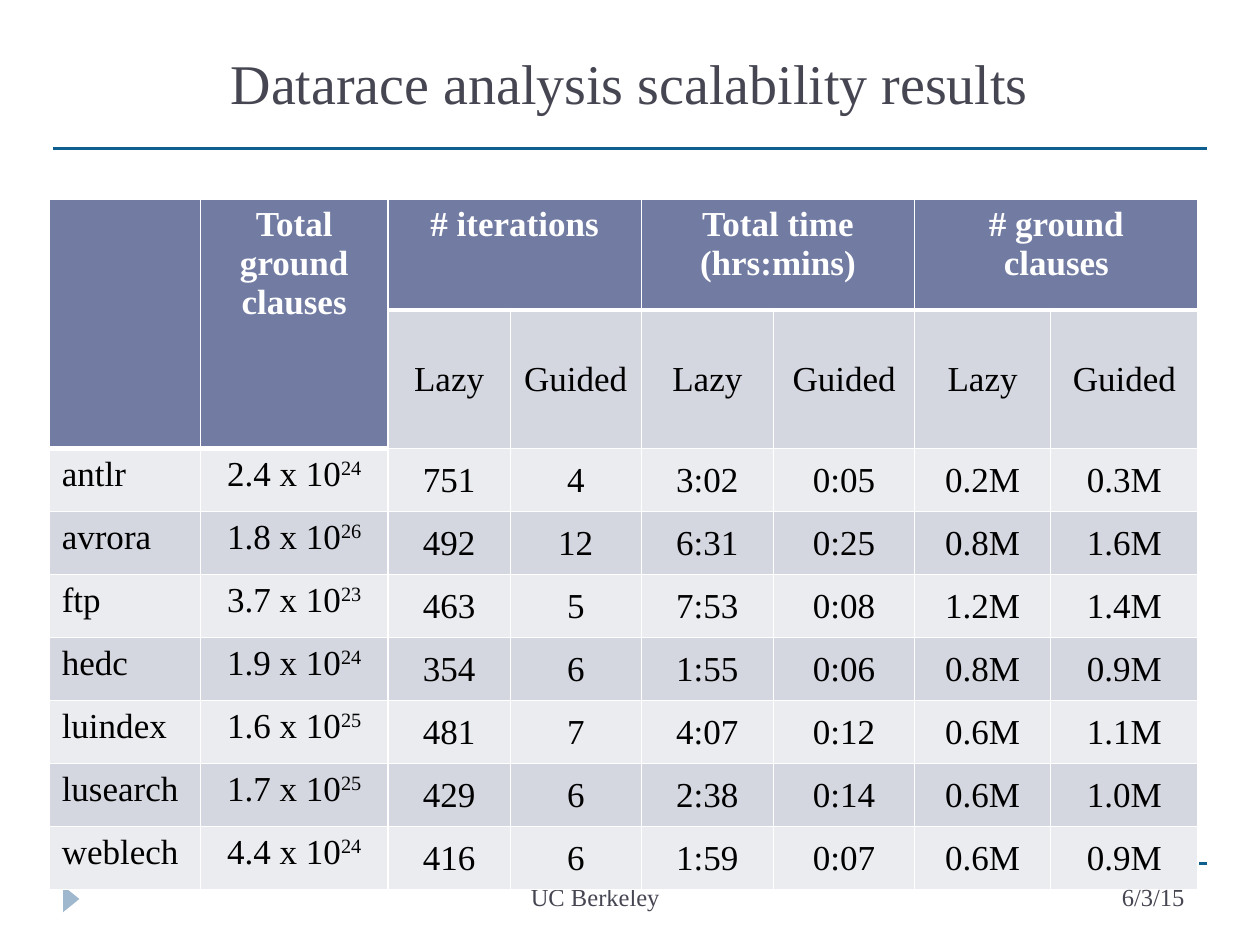
import lxml.etree
import pptx
import pptx.dml.color
import pptx.enum.shapes
import pptx.enum.text
import pptx.oxml
import pptx.oxml.ns
import pptx.util

RGBColor = pptx.dml.color.RGBColor
ALIGN = pptx.enum.text.PP_ALIGN
ANCHOR = pptx.enum.text.MSO_ANCHOR

WHITE = RGBColor(0xFF, 0xFF, 0xFF)
BLACK = RGBColor(0x00, 0x00, 0x00)
SLATE = RGBColor(0x46, 0x46, 0x53)
RULE_BLUE = RGBColor(0x0F, 0x5E, 0x90)
MARKER_BLUE = RGBColor(0x9F, 0xB8, 0xCD)
HEADER = RGBColor(0x72, 0x7C, 0xA3)
BAND_DARK = RGBColor(0xD5, 0xD7, 0xE0)
BAND_LIGHT = RGBColor(0xEB, 0xEC, 0xF0)

GRID_COLUMNS, GRID_ROWS = 20, 15
COLUMN_WIDTHS = [2.4, 2.98, 1.94, 2.08, 2.1, 2.24, 2.16, 2.34]
ROW_HEIGHTS = [1.76, 2.04] + [1] * 7
GROUPS = ["# iterations", "Total time (hrs:mins)", "# ground\vclauses"]
RESULTS = [
    ("antlr", "2.4 x 10", "24", "751", "4", "3:02", "0:05", "0.2M", "0.3M"),
    ("avrora", "1.8 x 10", "26", "492", "12", "6:31", "0:25", "0.8M", "1.6M"),
    ("ftp", "3.7 x 10", "23", "463", "5", "7:53", "0:08", "1.2M", "1.4M"),
    ("hedc", "1.9 x 10", "24", "354", "6", "1:55", "0:06", "0.8M", "0.9M"),
    ("luindex", "1.6 x 10", "25", "481", "7", "4:07", "0:12", "0.6M", "1.1M"),
    ("lusearch", "1.7 x 10", "25", "429", "6", "2:38", "0:14", "0.6M", "1.0M"),
    ("weblech", "4.4 x 10", "24", "416", "6", "1:59", "0:07", "0.6M", "0.9M"),
]


class SlideBuilder:
    """Draws styled elements on one slide, measured in grid columns and rows."""

    font = "Times New Roman"

    def __init__(self, presentation):
        self.column = presentation.slide_width / GRID_COLUMNS
        self.row = presentation.slide_height / GRID_ROWS
        self.slide = presentation.slides.add_slide(presentation.slide_layouts[6])

    def place(self, left, top, width, height):
        return (round(left * self.column), round(top * self.row),
                round(width * self.column), round(height * self.row))

    def format_text(self, text_frame, size, color, align, bold=False):
        for paragraph in text_frame.paragraphs:
            paragraph.alignment = align
            for run in paragraph.runs:
                run.font.name = self.font
                run.font.size = pptx.util.Pt(size)
                run.font.bold = bold
                run.font.color.rgb = color

    def text(self, box, text, size, align, anchor=ANCHOR.TOP):
        text_frame = self.slide.shapes.add_textbox(*self.place(*box)).text_frame
        text_frame.word_wrap = True
        text_frame.vertical_anchor = anchor
        text_frame.text = text
        self.format_text(text_frame, size, SLATE, align)

    def rule(self, left, right, top):
        x, y, width, _ = self.place(left, top, right - left, 0)
        connector = self.slide.shapes.add_connector(
            pptx.enum.shapes.MSO_CONNECTOR.STRAIGHT, x, y, x + width, y)
        connector.line.color.rgb = RULE_BLUE
        connector.line.width = pptx.util.Pt(1.75)
        lxml.etree.SubElement(connector._element.spPr, pptx.oxml.ns.qn("a:effectLst"))

    def marker(self, box):
        shape = self.slide.shapes.add_shape(
            pptx.enum.shapes.MSO_SHAPE.ISOSCELES_TRIANGLE, *self.place(*box))
        shape.rotation = 90
        shape.shadow.inherit = False
        shape.fill.solid()
        shape.fill.fore_color.rgb = MARKER_BLUE
        shape.line.fill.background()

    def table(self, left, top, widths, heights):
        box = self.place(left, top, sum(widths), sum(heights))
        table = self.slide.shapes.add_table(len(heights), len(widths), *box).table
        for column, width in zip(table.columns, widths):
            column.width = round(width * self.column)
        for row, height in zip(table.rows, heights):
            row.height = round(height * self.row)
        return table

    def cell(self, cell, text, fill, color=BLACK, align=ALIGN.CENTER,
             anchor=ANCHOR.TOP, bold=False, power="", top=1, bottom=1):
        cell.fill.solid()
        cell.fill.fore_color.rgb = fill
        cell.vertical_anchor = anchor
        cell.text_frame.text = text
        if power:
            run = cell.text_frame.paragraphs[0].add_run()
            run.text = power
            run._r.get_or_add_rPr().set("baseline", "30000")
        self.format_text(cell.text_frame, 20, color, align, bold)
        self.borders(cell, top, bottom)

    def borders(self, cell, top, bottom):
        properties = cell._tc.get_or_add_tcPr()
        sides = {"lnL": 1, "lnR": 1, "lnT": top, "lnB": bottom}
        for index, (side, points) in enumerate(sides.items()):
            properties.insert(index, pptx.oxml.parse_xml(
                f'<a:{side} {pptx.oxml.ns.nsdecls("a")} w="{pptx.util.Pt(points)}">'
                f'<a:solidFill><a:srgbClr val="{WHITE}"/></a:solidFill></a:{side}>'))

    def header(self, table):
        for row in range(2):
            for column, text in enumerate(["", "Total\vground clauses"]):
                self.cell(table.cell(row, column), "" if row else text, HEADER,
                          WHITE, bold=True, bottom=3 if row else 1)
        for column in (0, 1):
            table.cell(0, column).merge(table.cell(1, column))
        for index, group in enumerate(GROUPS):
            first = 2 + 2 * index
            for offset, name in enumerate(["Lazy", "Guided"]):
                self.cell(table.cell(0, first + offset), "" if offset else group,
                          HEADER, WHITE, bold=True, bottom=3)
                self.cell(table.cell(1, first + offset), name, BAND_DARK,
                          anchor=ANCHOR.MIDDLE, top=3)
            table.cell(0, first).merge(table.cell(0, first + 1))

    def results(self, table):
        for index, (name, base, power, *values) in enumerate(RESULTS):
            row = index + 2
            fill = BAND_DARK if index % 2 else BAND_LIGHT
            top = 1 if index else 3
            self.cell(table.cell(row, 0), name, fill, align=ALIGN.LEFT, top=top)
            self.cell(table.cell(row, 1), base, fill, power=power, top=top)
            for column, value in enumerate(values, start=2):
                cell = table.cell(row, column)
                self.cell(cell, value, fill, anchor=ANCHOR.MIDDLE)
                cell.margin_left = cell.margin_right = pptx.util.Inches(0.01)
                cell.margin_top = pptx.util.Inches(0.01)
                cell.margin_bottom = 0


def main():
    presentation = pptx.Presentation()
    presentation.slide_width = pptx.util.Inches(10)
    presentation.slide_height = pptx.util.Inches(7.5)
    builder = SlideBuilder(presentation)
    builder.marker((0.92, 14.14, 0.42, 0.26))
    for top in (2.36, 13.7):
        builder.rule(0.84, 19.16, top)
    builder.text((1, 0.34, 18, 1.94), "Datarace analysis scalability results", 32,
                 ALIGN.CENTER, ANCHOR.MIDDLE)
    builder.text((3.12, 13.9, 12.66, 0.8), "UC Berkeley", 14, ALIGN.CENTER)
    table = builder.table(0.78, 3.16, COLUMN_WIDTHS, ROW_HEIGHTS)
    builder.header(table)
    builder.results(table)
    builder.text((14, 13.9, 5, 0.8), "6/3/15", 14, ALIGN.RIGHT)
    presentation.save("out.pptx")


if __name__ == "__main__":
    main()
